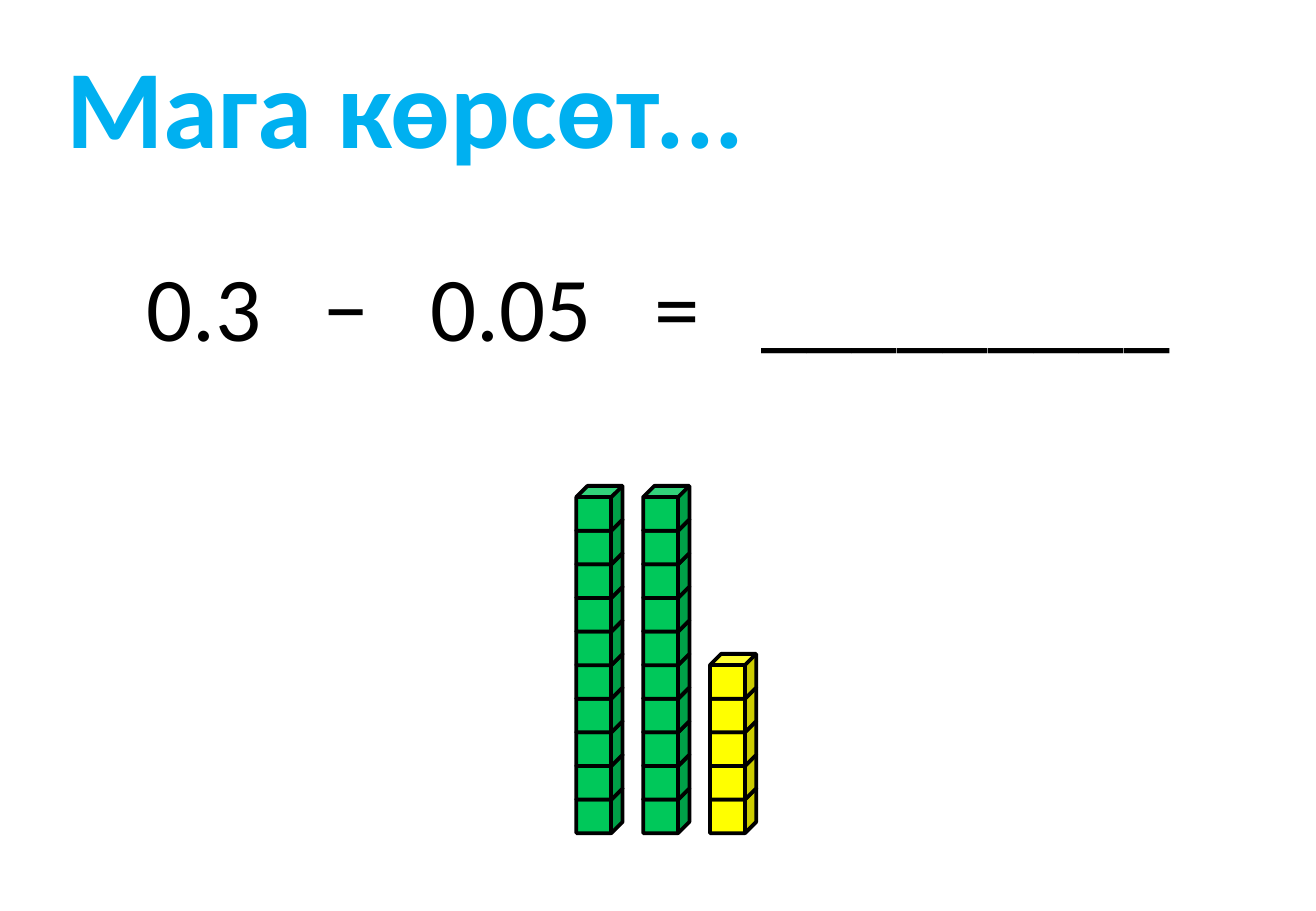
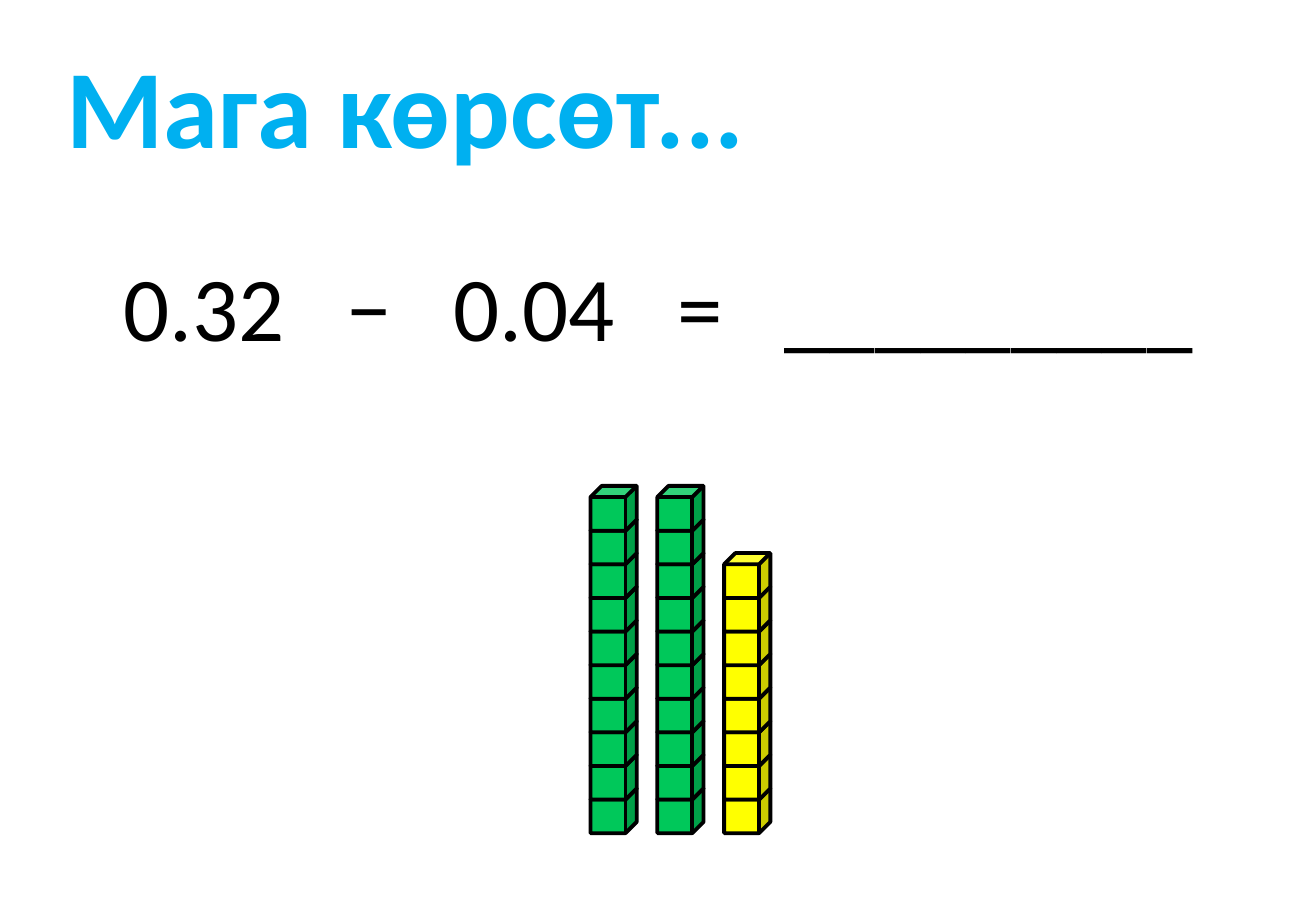
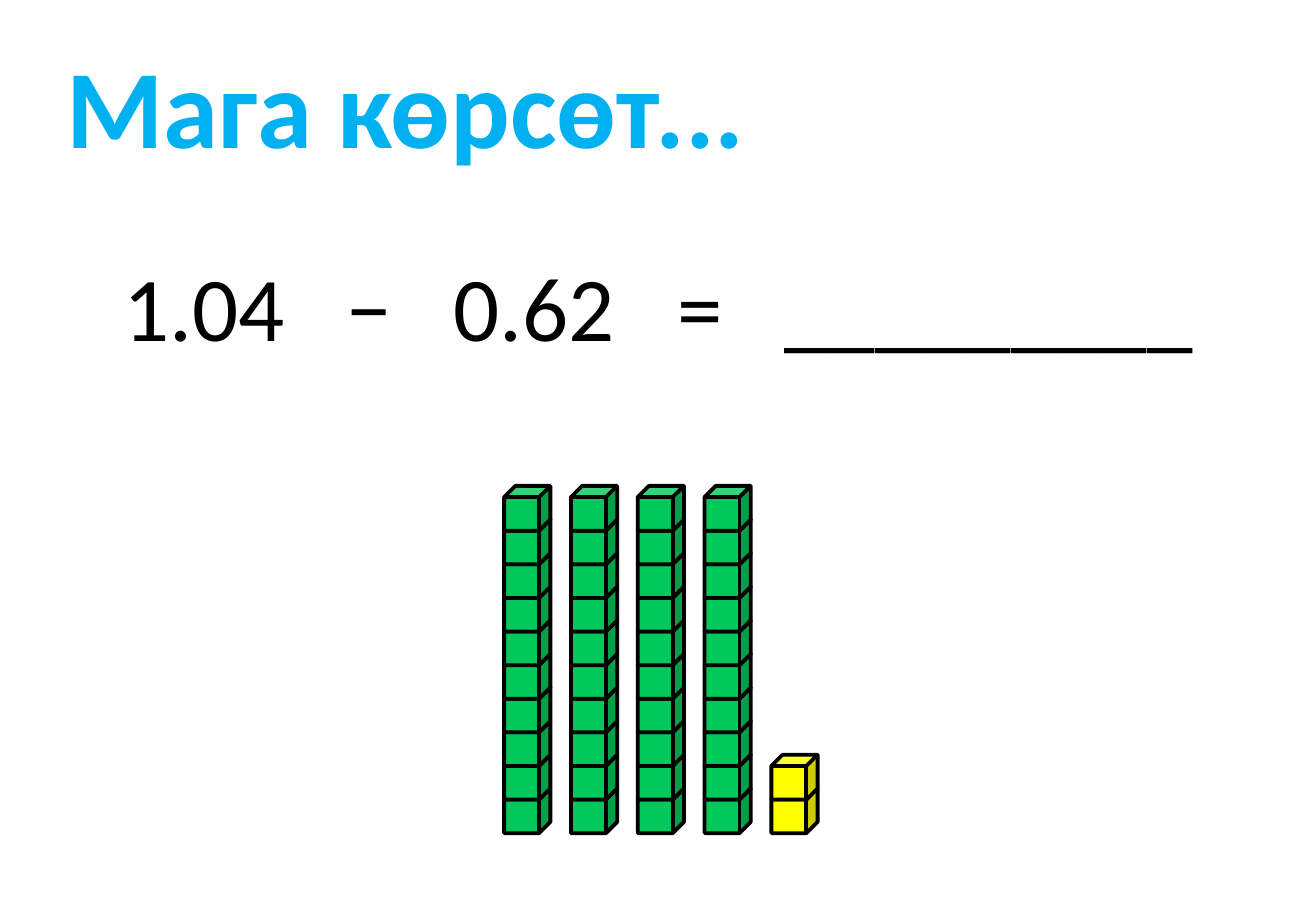
from pptx import Presentation
from pptx.dml.color import RGBColor
from pptx.enum.shapes import MSO_SHAPE as Shape
from pptx.enum.text import MSO_AUTO_SIZE as AutoSize, PP_ALIGN as Align
from pptx.util import Pt

# Shared style
FONT = "Calibri"
SKY = RGBColor(0x00, 0xB0, 0xF0)
BLACK = RGBColor(0x00, 0x00, 0x00)
GREEN = RGBColor(0x00, 0xC8, 0x5A)
YELLOW = RGBColor(0xFF, 0xFF, 0x00)

# Layout in points
SLIDE_W, SLIDE_H = 780, 540
CUBE_W, CUBE_H = 27.4, 26.6
CUBE_STEP = 19.92
COLUMN_STEP = 39.6
BOTTOM_CUBE_TOP = 467.3
GAP_SPACING = 24.4

TITLE = "Мага көрсөт..."

# Equation, its box width, left of the first column, tenths, hundredths
PROBLEMS = [
    ("0.3 − 0.05 = _________", 627, 341.6, 2, 5),
    ("0.32 − 0.04 = _________", 655, 350, 2, 8),
    ("1.04 − 0.62 = _________", 655, 298.8, 4, 2),
]


def add_text_box(slide, left, top, width, height, wrap):
    frame = slide.shapes.add_textbox(Pt(left), Pt(top), Pt(width), Pt(height)).text_frame
    frame.word_wrap = wrap
    frame.auto_size = AutoSize.SHAPE_TO_FIT_TEXT
    return frame


def set_font(font, size, color, bold=False):
    font.name, font.size, font.bold = FONT, Pt(size), bold
    font.color.rgb = color


def add_title(slide):
    frame = add_text_box(slide, 17.3, 18.7, 543, 87, True)
    frame.margin_left = Pt(22.1)
    frame.text = TITLE
    set_font(frame.paragraphs[0].runs[0].font, 66, SKY, bold=True)


def add_equation(slide, equation, width):
    """Centre the equation, with wide gaps between its terms."""
    frame = add_text_box(slide, (SLIDE_W - width) / 2, 144.7, width, 72.7, False)
    line = frame.paragraphs[0]
    line.alignment = Align.CENTER
    for i, term in enumerate(equation.split()):
        for piece in ([" ", term] if i else [term]):
            run = line.add_run()
            run.text = piece
            set_font(run.font, 54, BLACK)
            if piece == " ":
                run.font._element.set("spc", str(round(GAP_SPACING * 100)))


def add_column(shapes, left, count, color):
    """Stack cubes from the bottom up."""
    for i in range(count):
        top = BOTTOM_CUBE_TOP - i * CUBE_STEP
        cube = shapes.add_shape(Shape.CUBE, Pt(left), Pt(top), Pt(CUBE_W), Pt(CUBE_H))
        cube.shadow.inherit = False
        cube.fill.solid()
        cube.fill.fore_color.rgb = color
        cube.line.color.rgb = BLACK
        cube.line.width = Pt(2.25)


def add_blocks(slide, left, tenths, hundredths):
    add_column(slide.shapes, left + tenths * COLUMN_STEP, hundredths, YELLOW)
    for i in reversed(range(tenths)):
        rod = slide.shapes.add_group_shape()
        add_column(rod.shapes, left + i * COLUMN_STEP, 10, GREEN)


def main():
    deck = Presentation()
    deck.slide_width, deck.slide_height = Pt(SLIDE_W), Pt(SLIDE_H)
    for equation, width, left, tenths, hundredths in PROBLEMS:
        slide = deck.slides.add_slide(deck.slide_layouts[6])
        add_equation(slide, equation, width)
        add_blocks(slide, left, tenths, hundredths)
        add_title(slide)
    deck.save("out.pptx")


if __name__ == "__main__":
    main()
